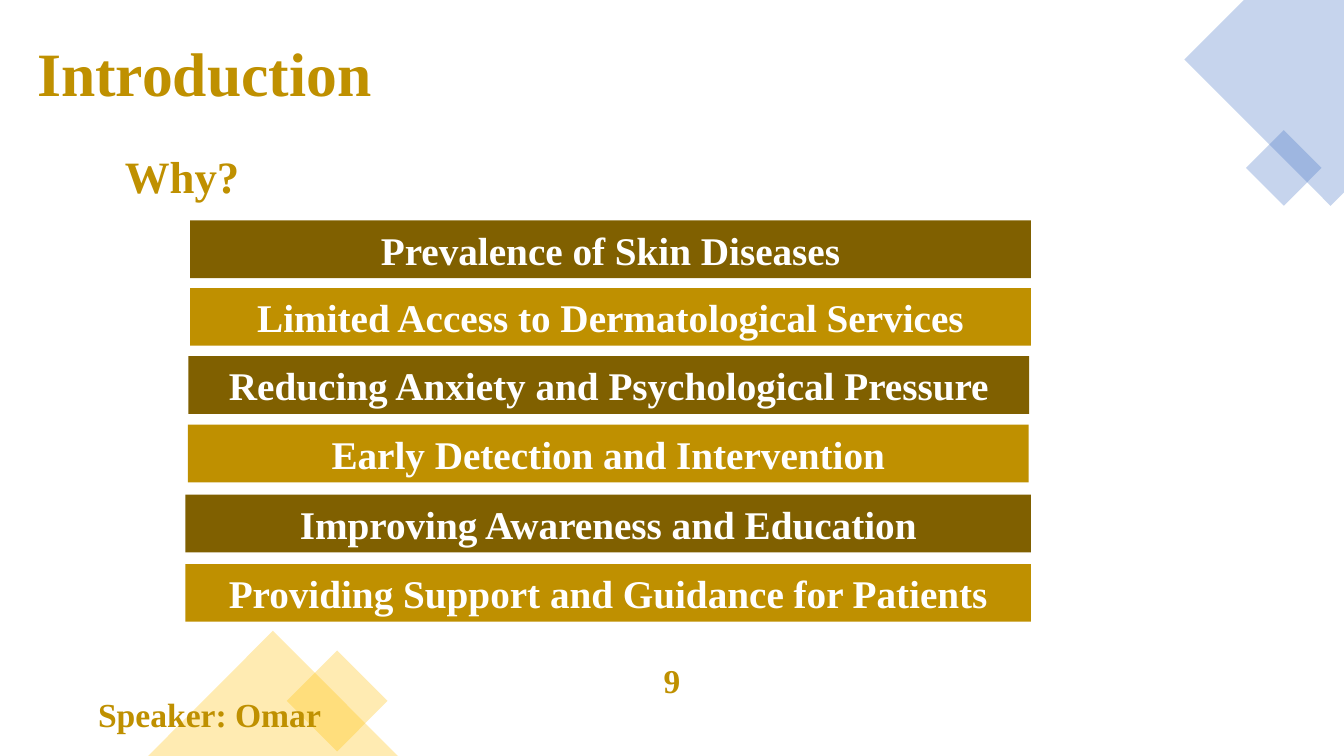
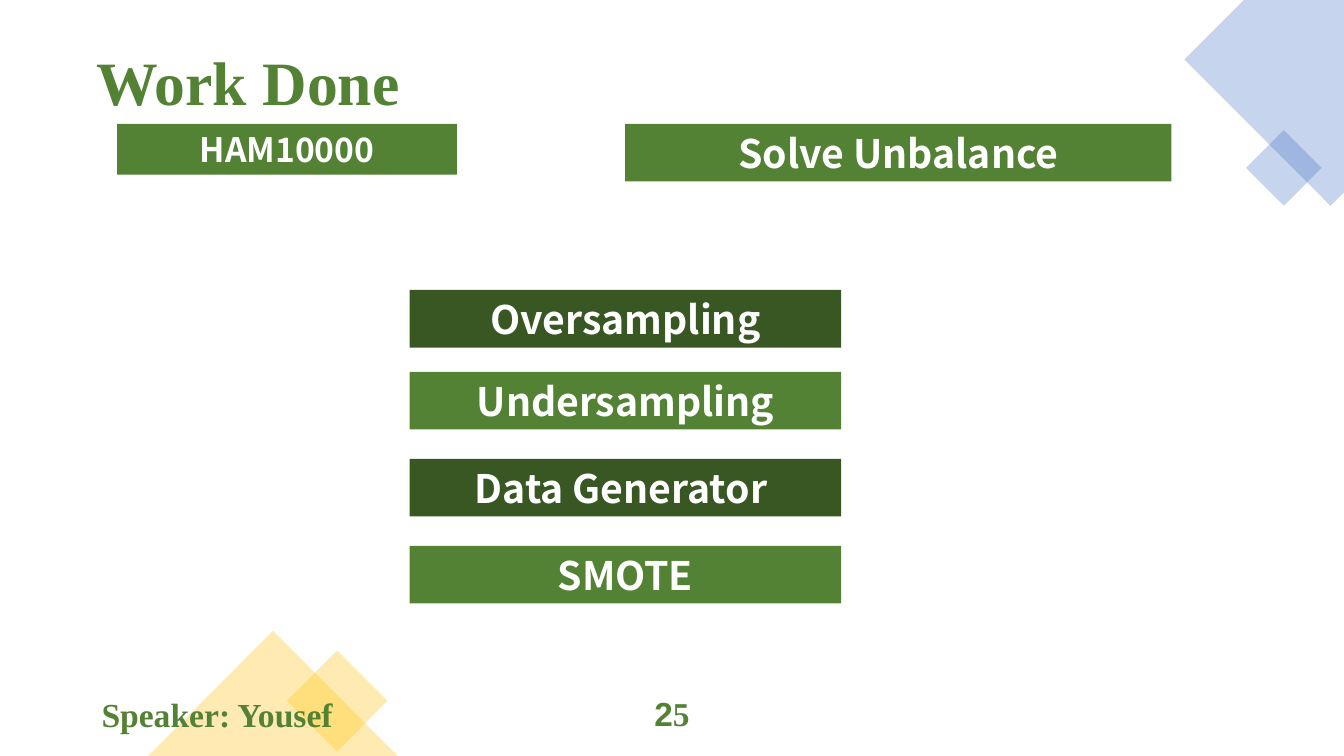
from lxml.etree import SubElement
from pptx import Presentation
from pptx.dml.color import RGBColor
from pptx.enum.shapes import MSO_SHAPE
from pptx.enum.text import MSO_ANCHOR, PP_ALIGN
from pptx.oxml.ns import qn
from pptx.util import Pt

# Shared style
SERIF, SANS, NUMBER_SANS = "Times New Roman", "Noto Sans CJK SC", "Arial"
WHITE, BLUE, YELLOW = "FFFFFF", "4472C4", "FFC000"
GOLD, DARK_GOLD = "BF9000", "806000"
GREEN, DARK_GREEN = "548235", "385723"
TITLE_SIZE, HEADING_SIZE, BAR_SIZE, FOOTER_SIZE = 44, 32, 28, 24
NUMBER_SIZE = 23.8
BAR_HEIGHT, FOOTER_HEIGHT, FOOTER_TOP = 41.2, 28.8, 495.4


def paint(shape, color, opacity=100):
    """Give a shape a plain fill without outline or shadow."""
    shape.shadow.inherit = False
    shape.line.fill.background()
    shape.fill.solid()
    shape.fill.fore_color.rgb = RGBColor.from_string(color)
    if opacity < 100:
        color_element = shape.fill._xPr.find(qn("a:solidFill"))[0]
        SubElement(color_element, qn("a:alpha"), val=str(opacity * 1000))


def write(shape, runs, size, color, centered=False, inset=True):
    """Fill a shape with one bold paragraph of (text, font) runs."""
    frame = shape.text_frame
    frame.word_wrap = True
    if not inset:
        frame.margin_left = frame.margin_right = Pt(0)
        frame.margin_top = frame.margin_bottom = Pt(0)
    paragraph = frame.paragraphs[0]
    paragraph.alignment = PP_ALIGN.CENTER if centered else PP_ALIGN.LEFT
    for text, font_name in runs:
        run = paragraph.add_run()
        run.text = text
        run.font.name = font_name
        run.font.size = Pt(size)
        run.font.bold = True
        run.font.color.rgb = RGBColor.from_string(color)


# Slide contents: text boxes as (text, size, left, top, width, height),
# bars as (text, size, left, top, width, height, fill)
pages = [
    {
        "color": GOLD,
        "font": SERIF,
        "headings": [
            ("Introduction", TITLE_SIZE, 19.4, 21.6, 260.6, 60.5),
            ("Why?", HEADING_SIZE, 82.1, 103, 809.3, 67.7),
        ],
        "bars": [
            ("Prevalence of Skin Diseases", BAR_SIZE, 135.8, 157.5, 600.6, BAR_HEIGHT, DARK_GOLD),
            ("Limited Access to Dermatological Services", BAR_SIZE, 135.8, 205.8, 600.6, BAR_HEIGHT, GOLD),
            ("Reducing Anxiety and Psychological Pressure", BAR_SIZE, 134.6, 254.4, 600.6, BAR_HEIGHT, DARK_GOLD),
            ("Early Detection and Intervention", BAR_SIZE, 134.2, 303.3, 600.6, BAR_HEIGHT, GOLD),
            ("Improving Awareness and Education", BAR_SIZE, 132.4, 353.3, 604, BAR_HEIGHT, DARK_GOLD),
            ("Providing Support and Guidance for Patients", BAR_SIZE, 132.4, 402.9, 604, BAR_HEIGHT, GOLD),
        ],
        "speaker": ("Speaker: Omar", 231.8),
        "number": ([("9", SERIF)], 471.6),
    },
    {
        "color": GREEN,
        "font": SANS,
        "headings": [("Work Done", TITLE_SIZE, 61.9, 28.1, 296.6, 60.5)],
        "bars": [
            ("HAM10000", 24, 83.6, 88.4, 242.8, 36.3, GREEN),
            ("Solve Unbalance", BAR_SIZE, 446.6, 88.4, 390.1, BAR_HEIGHT, GREEN),
            ("Oversampling", BAR_SIZE, 292.6, 207.1, 308.2, BAR_HEIGHT, DARK_GREEN),
            ("Undersampling", BAR_SIZE, 292.6, 265.6, 308.2, BAR_HEIGHT, GREEN),
            ("Data Generator ", BAR_SIZE, 292.6, 327.7, 308.2, BAR_HEIGHT, DARK_GREEN),
            ("SMOTE", BAR_SIZE, 292.6, 389.9, 308.2, BAR_HEIGHT, GREEN),
        ],
        "speaker": ("Speaker: Yousef", 242.6),
        "number": ([("2", NUMBER_SANS), ("5", SERIF)], FOOTER_TOP),
    },
]

# Corner decoration: (preset, left, top, width, height, rotation, colour)
corner_outline = [(888.5, 0), (846, 42.5), (950.4, 147), (960, 137.4)]
corner_shapes = [
    (MSO_SHAPE.RECTANGLE, 897.9, 100.9, 38.2, 38.2, 45, BLUE),
    (MSO_SHAPE.RECTANGLE, 215.3, 475.2, 51, 51, 45, YELLOW),
    (MSO_SHAPE.ISOSCELES_TRIANGLE, 105.8, 450.5, 178.4, 89.5, 0, YELLOW),
]

presentation = Presentation()
presentation.slide_width, presentation.slide_height = Pt(960), Pt(540)

for page in pages:
    slide = presentation.slides.add_slide(presentation.slide_layouts[6])
    shapes = slide.shapes

    # Decoration
    builder = shapes.build_freeform(Pt(960), Pt(0))
    builder.add_line_segments([(Pt(x), Pt(y)) for x, y in corner_outline])
    paint(builder.convert_to_shape(), BLUE, 30)
    for preset, left, top, width, height, rotation, color in corner_shapes:
        shape = shapes.add_shape(preset, Pt(left), Pt(top), Pt(width), Pt(height))
        shape.rotation = rotation
        paint(shape, color, 30)

    # Footer
    speaker, speaker_width = page["speaker"]
    number_runs, number_top = page["number"]
    footers = [
        ([(speaker, SERIF)], FOOTER_SIZE, 33.8, FOOTER_TOP, speaker_width),
        (number_runs, NUMBER_SIZE, 358.4, number_top, 243.2),
    ]
    for runs, size, left, top, width in footers:
        box = shapes.add_textbox(Pt(left), Pt(top), Pt(width), Pt(FOOTER_HEIGHT))
        write(box, runs, size, page["color"], centered=True, inset=False)

    # Title and heading
    for text, size, left, top, width, height in page["headings"]:
        box = shapes.add_textbox(Pt(left), Pt(top), Pt(width), Pt(height))
        write(box, [(text, SERIF)], size, page["color"])

    # Bars
    for text, size, left, top, width, height, fill in page["bars"]:
        bar = shapes.add_shape(MSO_SHAPE.RECTANGLE, Pt(left), Pt(top), Pt(width), Pt(height))
        paint(bar, fill)
        bar.text_frame.vertical_anchor = MSO_ANCHOR.MIDDLE
        write(bar, [(text, page["font"])], size, WHITE, centered=True)

presentation.save("out.pptx")
